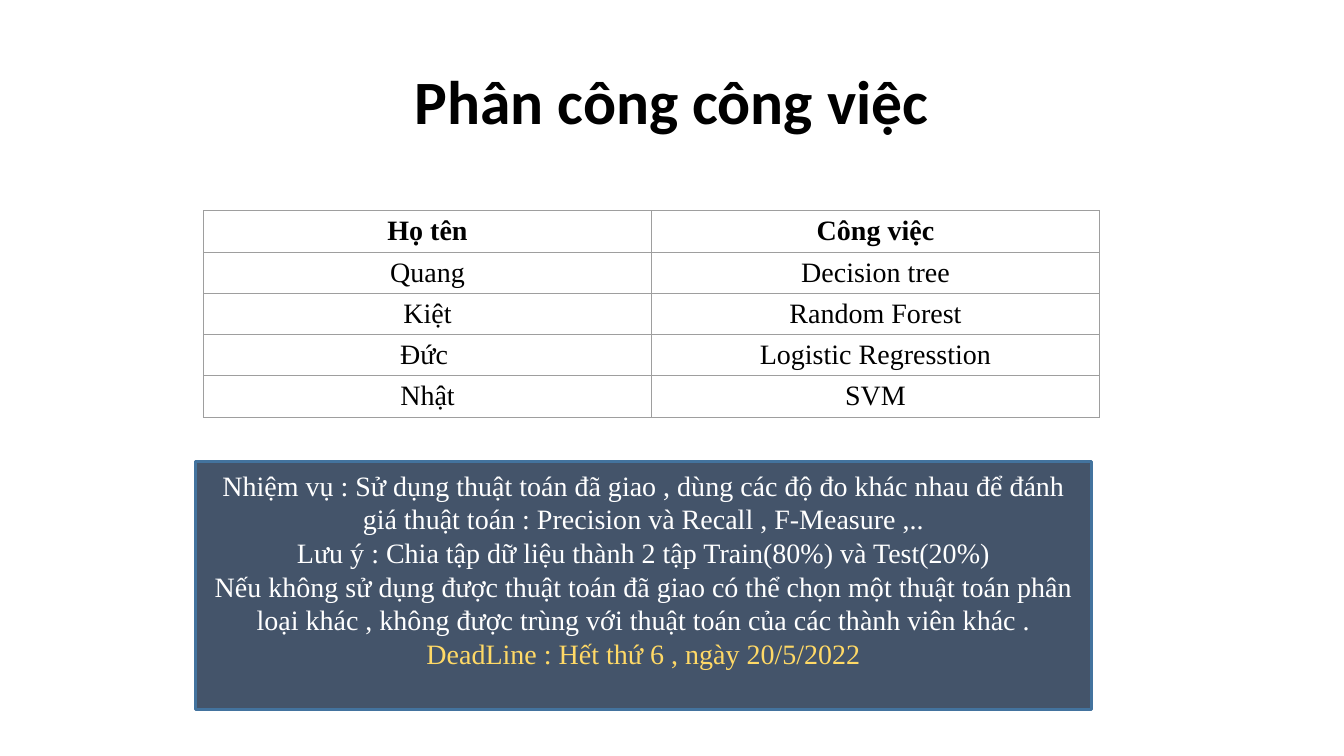
from pptx import Presentation
from pptx.dml.color import RGBColor
from pptx.enum.shapes import MSO_SHAPE
from pptx.enum.text import MSO_ANCHOR, MSO_AUTO_SIZE, PP_ALIGN
from pptx.oxml import parse_xml
from pptx.oxml.ns import nsdecls
from pptx.util import Cm, Pt


def color(code):
    return RGBColor.from_string(code)


def style(para, size, code, font="Times New Roman", bold=False):
    para.alignment = PP_ALIGN.CENTER
    for run in para.runs:
        run.font.size = Pt(size)
        run.font.name = font
        run.font.bold = bold
        run.font.color.rgb = color(code)


deck = Presentation()
deck.slide_width, deck.slide_height = Cm(33.87), Cm(19.05)
slide = deck.slides.add_slide(deck.slide_layouts[0])
sub = slide.placeholders[1].element
sub.getparent().remove(sub)

# Title
title = slide.shapes.title
title.left, title.top = Cm(4.23), Cm(1.06)
title.width, title.height = Cm(25.4), Cm(2.54)
frame = title.text_frame
frame.text = "Phân công công việc"
frame.auto_size = MSO_AUTO_SIZE.NONE
frame.vertical_anchor = MSO_ANCHOR.BOTTOM
frame.paragraphs[0].line_spacing = 0.9
style(frame.paragraphs[0], 44, "000000", "Calibri", True)

# Table of names and tasks
tasks = [
    ("Họ tên", "Công việc"),
    ("Quang", "Decision tree"),
    ("Kiệt", "Random Forest"),
    ("Đức ", "Logistic Regresstion"),
    ("Nhật", "SVM"),
]
wide, high = Cm(22.58), Cm(1.04)
table = slide.shapes.add_table(
    len(tasks), 2, Cm(5.13), Cm(5.31), wide, high * len(tasks)).table
table.horz_banding = False
for i, row in enumerate(tasks):
    table.rows[i].height = high
    for j, text in enumerate(row):
        cell = table.cell(i, j)
        cell.text_frame.text = text
        cell.vertical_anchor = MSO_ANCHOR.MIDDLE
        cell.margin_top = cell.margin_bottom = Cm(0.1)
        style(cell.text_frame.paragraphs[0], 20, "000000", bold=i == 0)
        # Borders come before the fill in the cell's XML
        props = cell._tc.get_or_add_tcPr()
        for side in ("lnL", "lnR", "lnT", "lnB"):
            props.append(parse_xml(
                f'<a:{side} {nsdecls("a")} w="9525"><a:solidFill>'
                f'<a:srgbClr val="9E9E9E"/></a:solidFill></a:{side}>'))
        cell.fill.background()

# Box with the brief and the deadline
notes = [
    ("Nhiệm vụ : Sử dụng thuật toán đã giao , dùng các độ đo khác nhau "
     "để đánh giá thuật toán : Precision và Recall , F-Measure ,..", "FFFFFF"),
    ("Lưu ý : Chia tập dữ liệu thành 2 tập Train(80%) và Test(20%)", "FFFFFF"),
    ("Nếu không sử dụng được thuật toán đã giao có thể chọn một thuật toán "
     "phân loại khác , không được trùng với thuật toán của các thành viên "
     "khác .", "FFFFFF"),
    ("DeadLine : Hết thứ 6 , ngày 20/5/2022", "FFD966"),
]
box = slide.shapes.add_shape(
    MSO_SHAPE.RECTANGLE, Cm(4.93), Cm(11.63), wide, Cm(6.25))
box.shadow.inherit = False
box.fill.solid()
box.fill.fore_color.rgb = color("44546A")
box.line.color.rgb = color("43739E")
box.line.width = Pt(2)
frame = box.text_frame
frame.word_wrap = True
frame.vertical_anchor = MSO_ANCHOR.MIDDLE
frame.margin_bottom = Cm(0.95)
frame.text = "\n".join(text for text, code in notes)
for para, (text, code) in zip(frame.paragraphs, notes):
    style(para, 20, code)

deck.save("out.pptx")
